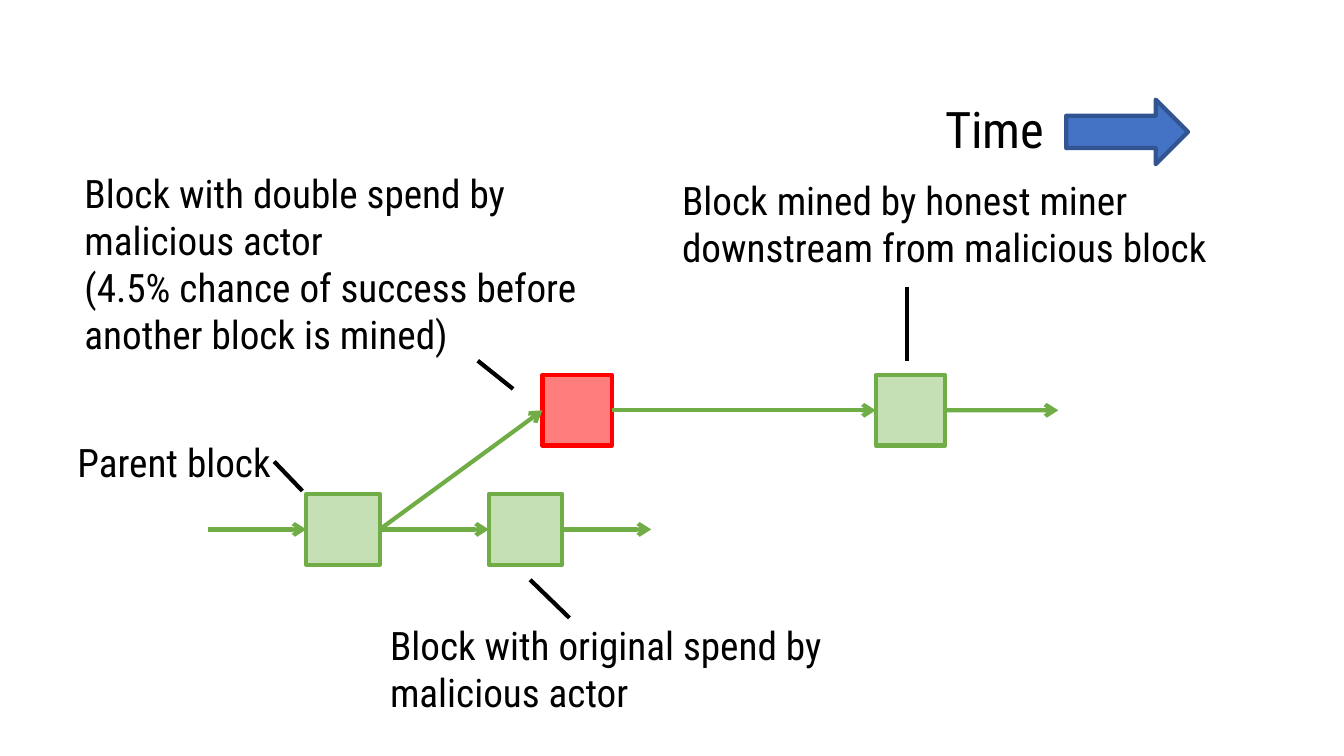
"""Build a slide showing a double-spend fork in a chain of blocks."""
from dataclasses import dataclass

from lxml.etree import SubElement
from pptx import Presentation
from pptx.dml.color import RGBColor
from pptx.enum.shapes import MSO_CONNECTOR, MSO_SHAPE
from pptx.oxml.ns import qn
from pptx.shapes.autoshape import Shape
from pptx.shapes.connector import Connector
from pptx.slide import Slide
from pptx.util import Cm, Pt

FONT = "Roboto Condensed"
BLACK, GREEN, LIGHT_GREEN, RED = "000000", "70AD47", "C5E0B4", "FF0000"
LINE_WIDTH = 3
BLOCK_HEIGHT = 1.78
FORK_TOP, MAIN_TOP = 9.45, 12.45
LEFT_SITE, RIGHT_SITE = 1, 3


@dataclass(frozen=True)
class Block:
    """A block of the chain, measured in centimetres."""
    left: float
    top: float
    width: float
    fill: str = LIGHT_GREEN
    line: str = GREEN
    opacity: int = 100

    @property
    def middle(self) -> float:
        """Return the height of the block's centre."""
        return self.top + BLOCK_HEIGHT / 2


@dataclass(frozen=True)
class Label:
    """A text box, measured in centimetres."""
    text: str
    left: float
    top: float
    width: float
    height: float
    size: int = 28


PARENT = Block(7.72, MAIN_TOP, 1.85)
ORIGINAL_SPEND = Block(12.32, MAIN_TOP, 1.85)
DOUBLE_SPEND = Block(13.67, FORK_TOP, 1.75, RED, RED, 51)
HONEST = Block(22.07, FORK_TOP, 1.75)
BLOCKS = (PARENT, DOUBLE_SPEND, ORIGINAL_SPEND, HONEST)

LINKS = ((PARENT, DOUBLE_SPEND), (DOUBLE_SPEND, HONEST), (PARENT, ORIGINAL_SPEND))
OUTGOING = ((ORIGINAL_SPEND, 16.41), (HONEST, 26.67))
INCOMING_LEFT = 5.23

LABELS = (
    Label("Time", 23.57, 2.34, 3.86, 1.37, 36),
    Label("Parent block", 1.7, 10.92, 6.81, 1.45),
    Label("Block with original spend by malicious actor", 9.58, 15.54, 12.22, 2.64),
    Label("Block with double spend by malicious actor\n"
          "(4.5% chance of success before another block is mined)",
          1.88, 4.14, 13.28, 5.05),
    Label("Block mined by honest miner downstream from malicious block",
          16.94, 4.32, 14.4, 2.64),
)

POINTERS = (
    (12.04, 9.09, 12.93, 9.8),
    (6.91, 11.63, 7.62, 12.37),
    (13.36, 14.61, 14.35, 15.57),
    (22.86, 7.24, 22.86, 9.09),
)


def colour(value: str) -> RGBColor:
    """Turn a hex string into a colour."""
    return RGBColor.from_string(value)


def add_box(slide: Slide, preset: MSO_SHAPE, left: float, top: float, width: float,
            height: float, fill: str, line: str, opacity: int = 100) -> Shape:
    """Draw a filled and outlined preset shape."""
    shape = slide.shapes.add_shape(preset, Cm(left), Cm(top), Cm(width), Cm(height))
    shape.shadow.inherit = False
    shape.fill.solid()
    shape.fill.fore_color.rgb = colour(fill)
    shape.line.color.rgb = colour(line)
    shape.line.width = Pt(LINE_WIDTH)
    if opacity < 100:
        fill_colour = shape._element.spPr.find(qn("a:solidFill")).find(qn("a:srgbClr"))
        SubElement(fill_colour, qn("a:alpha"), val=str(opacity * 1000))
    return shape


def add_block(slide: Slide, block: Block) -> Shape:
    """Draw one block of the chain."""
    return add_box(slide, MSO_SHAPE.RECTANGLE, block.left, block.top, block.width,
                   BLOCK_HEIGHT, block.fill, block.line, block.opacity)


def add_line(slide: Slide, left: float, top: float, right: float, bottom: float,
             line: str = BLACK, arrow: bool = False) -> Connector:
    """Draw a straight line, with an arrowhead at its end if asked."""
    connector = slide.shapes.add_connector(
        MSO_CONNECTOR.STRAIGHT, Cm(left), Cm(top), Cm(right), Cm(bottom))
    connector.line.color.rgb = colour(line)
    connector.line.width = Pt(LINE_WIDTH)
    if arrow:
        SubElement(connector.line._get_or_add_ln(), qn("a:tailEnd"), type="arrow")
    SubElement(connector._element.spPr, qn("a:effectLst"))
    return connector


def add_link(slide: Slide, shapes: dict[Block, Shape], start: Block, end: Block) -> None:
    """Draw an arrow glued to two blocks."""
    connector = add_line(slide, start.left + start.width, start.middle,
                         end.left, end.middle, GREEN, True)
    connector.begin_connect(shapes[start], RIGHT_SITE)
    connector.end_connect(shapes[end], LEFT_SITE)


def add_text(slide: Slide, text: str, *, left: float, top: float, width: float,
             height: float, size: int, font: str = FONT, font_colour: str = BLACK) -> None:
    """Add a wrapping text box with one paragraph for each line of text."""
    box = slide.shapes.add_textbox(Cm(left), Cm(top), Cm(width), Cm(height))
    box.text_frame.word_wrap = True
    box.text_frame.text = text
    for paragraph in box.text_frame.paragraphs:
        for run in paragraph.runs:
            run.font.name = font
            run.font.size = Pt(size)
            run.font.color.rgb = colour(font_colour)


def main() -> None:
    """Build and save the presentation."""
    presentation = Presentation()
    presentation.slide_width, presentation.slide_height = Cm(33.87), Cm(19.05)
    slide = presentation.slides.add_slide(presentation.slide_layouts.get_by_name("Blank"))

    add_box(slide, MSO_SHAPE.RIGHT_ARROW, 26.87, 2.51, 3.07, 1.63, "4472C4", "325491")
    shapes = {block: add_block(slide, block) for block in BLOCKS}
    for start, end in LINKS:
        add_link(slide, shapes, start, end)
    for block, right in OUTGOING:
        connector = add_line(slide, block.left + block.width, block.middle,
                             right, block.middle, GREEN, True)
        connector.begin_connect(shapes[block], RIGHT_SITE)
    incoming = add_line(slide, INCOMING_LEFT, PARENT.middle,
                        PARENT.left, PARENT.middle, GREEN, True)
    incoming.end_connect(shapes[PARENT], LEFT_SITE)
    for label in LABELS:
        add_text(slide, label.text, left=label.left, top=label.top,
                 width=label.width, height=label.height, size=label.size)
    for pointer in POINTERS:
        add_line(slide, *pointer)

    presentation.save("out.pptx")


main()
